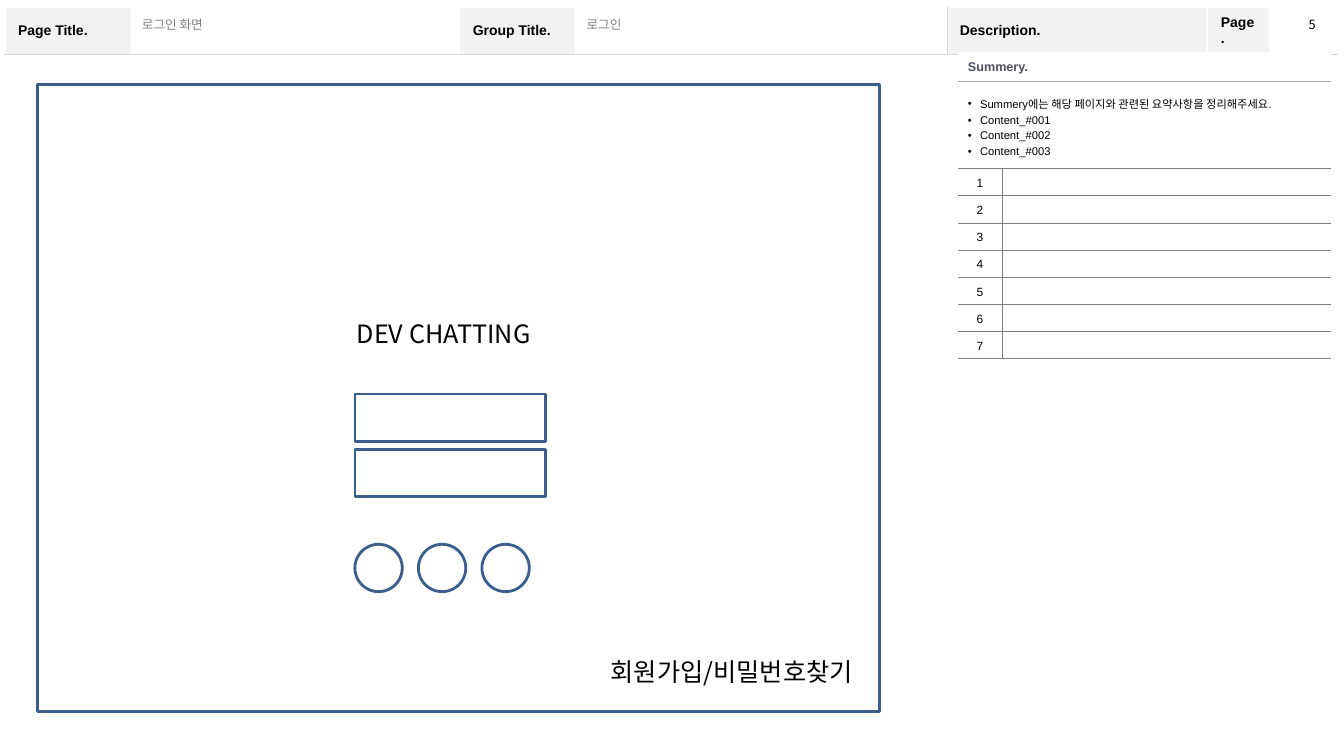
from lxml import etree
from pptx import Presentation
from pptx.dml.color import RGBColor
from pptx.enum.shapes import MSO_SHAPE
from pptx.enum.text import MSO_ANCHOR, MSO_AUTO_SIZE, PP_ALIGN
from pptx.oxml.ns import qn
from pptx.util import Inches, Pt

RECT, OVAL = MSO_SHAPE.RECTANGLE, MSO_SHAPE.OVAL
MIDDLE, TOP = MSO_ANCHOR.MIDDLE, MSO_ANCHOR.TOP
FIT, NO_FIT = MSO_AUTO_SIZE.SHAPE_TO_FIT_TEXT, MSO_AUTO_SIZE.NONE
LEFT, CENTER, JUSTIFY = PP_ALIGN.LEFT, PP_ALIGN.CENTER, PP_ALIGN.JUSTIFY

BLACK = RGBColor(0x00, 0x00, 0x00)
WHITE = RGBColor(0xFF, 0xFF, 0xFF)
LABEL_FILL = RGBColor(0xF2, 0xF2, 0xF2)
PALE = RGBColor(0xD9, 0xD9, 0xD9)
SILVER = RGBColor(0xA6, 0xA6, 0xA6)
GRAY = RGBColor(0x80, 0x80, 0x80)
SLATE = RGBColor(0x4E, 0x52, 0x63)
BLUE = RGBColor(0x3A, 0x5F, 0x8C)

ARIAL, NOTO = "Arial", "Noto Sans CJK KR"
NO_STYLE = "{2D5ABB26-0587-4C30-8999-92F81FD0307C}"
WHITE_EDGE, PALE_EDGE = (WHITE, 1), (PALE, 0.25)
SILVER_EDGE, GRAY_EDGE = (SILVER, 0.25), (GRAY, 0.25)


class Wireframe:
    def __init__(self, slide):
        self.shapes = slide.shapes

    def fill_text(self, tf, lines, size, color=BLACK, font=ARIAL, bold=False,
                  align=LEFT, spacing=None, bullet=False):
        tf.text = "\n".join(lines)
        for p in tf.paragraphs:
            p.alignment = align
            if spacing:
                p.line_spacing = spacing
            if bullet:
                pPr = p._p.get_or_add_pPr()
                pPr.set("marL", str(Inches(0.12)))
                pPr.set("indent", str(-Inches(0.12)))
                etree.SubElement(pPr, qn("a:buFont"), typeface=ARIAL)
                etree.SubElement(pPr, qn("a:buChar"), char="•")
            for r in p.runs:
                r.font.size = Pt(size)
                r.font.name = font
                r.font.bold = bold
                r.font.color.rgb = color
                etree.SubElement(r._r.get_or_add_rPr(), qn("a:ea"), typeface=NOTO)

    def text(self, x, y, w, h, line, size, color=BLACK, font=NOTO,
             wrap=False, anchor=TOP):
        tf = self.shapes.add_textbox(
            Inches(x), Inches(y), Inches(w), Inches(h)).text_frame
        tf.word_wrap = wrap
        tf.auto_size = NO_FIT if wrap else FIT
        tf.vertical_anchor = anchor
        self.fill_text(tf, [line], size, color, font)

    def outline(self, kind, x, y, w, h):
        sp = self.shapes.add_shape(kind, Inches(x), Inches(y), Inches(w), Inches(h))
        sp.shadow.inherit = False
        sp.fill.background()
        sp.line.color.rgb = BLUE
        sp.line.width = Pt(2)

    def table(self, x, y, widths, heights):
        frame = self.shapes.add_table(
            len(heights), len(widths), Inches(x), Inches(y),
            Inches(sum(widths)), Inches(sum(heights)))
        table = frame.table
        table.first_row = table.horz_banding = False
        table._tbl.tblPr.find(qn("a:tableStyleId")).text = NO_STYLE
        for column, width in zip(table.columns, widths):
            column.width = Inches(width)
        for row, height in zip(table.rows, heights):
            row.height = Inches(height)
        return table

    def cell(self, cell, left=None, right=None, top=None, bottom=None, fill=None):
        tcPr = cell._tc.get_or_add_tcPr()
        edges = {"a:lnL": left, "a:lnR": right, "a:lnT": top, "a:lnB": bottom}
        for tag, edge in edges.items():
            ln = etree.SubElement(tcPr, qn(tag))
            if edge:
                color, width = edge
                ln.set("w", str(Pt(width)))
                solid = etree.SubElement(ln, qn("a:solidFill"))
                etree.SubElement(solid, qn("a:srgbClr"), val=str(color))
            else:
                etree.SubElement(ln, qn("a:noFill"))
        if fill is None:
            cell.fill.background()
        else:
            cell.fill.solid()
            cell.fill.fore_color.rgb = fill
        cell.vertical_anchor = MIDDLE
        end = etree.SubElement(cell.text_frame.paragraphs[0]._p, qn("a:endParaRPr"))
        end.set("sz", "800")

    def header(self):
        labels = ["Page Title.", "", "Group Title.", "", "Description.", "Page.", ""]
        table = self.table(0.05, 0.07, [1.26, 3.25, 1.15, 3.68, 2.59, 0.61, 0.68],
                           [0.47, 6.65])
        for i, label in enumerate(labels):
            left = PALE_EDGE if i == 4 else WHITE_EDGE
            right = PALE_EDGE if i == 3 else WHITE_EDGE
            head, body = table.cell(0, i), table.cell(1, i)
            self.cell(head, left, right, WHITE_EDGE, PALE_EDGE,
                      LABEL_FILL if label else None)
            self.cell(body, left, right, PALE_EDGE, WHITE_EDGE)
            if label:
                head.margin_left = head.margin_right = Inches(0.13)
                head.margin_top = head.margin_bottom = Inches(0.07)
                self.fill_text(head.text_frame, [label], 10, bold=True)
        table.cell(1, 0).merge(table.cell(1, 3))
        table.cell(1, 4).merge(table.cell(1, 6))

    def description(self, title, notes, count):
        table = self.table(9.5, 0.52, [0.44, 3.26], [0.29, 0.86] + [0.27] * count)
        for i in range(2):
            self.cell(table.cell(0, i), bottom=SILVER_EDGE, fill=WHITE)
            self.cell(table.cell(1, i), top=SILVER_EDGE, bottom=GRAY_EDGE)
        for row in range(2):
            table.cell(row, 0).merge(table.cell(row, 1))
        self.fill_text(table.cell(0, 0).text_frame, [title], 9, SLATE, bold=True)
        self.fill_text(table.cell(1, 0).text_frame, notes, 8, align=JUSTIFY,
                       spacing=1.2, bullet=True)
        for n in range(1, count + 1):
            number, detail = table.cell(n + 1, 0), table.cell(n + 1, 1)
            self.cell(number, right=GRAY_EDGE, top=GRAY_EDGE, bottom=GRAY_EDGE)
            self.cell(detail, left=GRAY_EDGE, top=GRAY_EDGE, bottom=GRAY_EDGE)
            self.fill_text(number.text_frame, [str(n)], 8.5, align=CENTER, spacing=1.2)


def main():
    prs = Presentation()
    prs.slide_width, prs.slide_height = Inches(13.33), Inches(7.5)
    s = Wireframe(prs.slides.add_slide(prs.slide_layouts[6]))

    s.header()
    s.text(1.31, 0.12, 3.24, 0.24, "로그인 화면", 9, GRAY, ARIAL, True, MIDDLE)
    s.text(5.72, 0.12, 3.64, 0.24, "로그인", 9, GRAY, ARIAL, True, MIDDLE)
    notes = ["Summery에는 해당 페이지와 관련된 요약사항을 정리해주세요."]
    notes += [f"Content_#{n:03}" for n in range(1, 4)]
    s.description("Summery.", notes, 7)
    s.text(12.88, 0.12, 0.27, 0.25, "5", 9)

    s.outline(RECT, 0.37, 0.84, 8.35, 6.22)
    for i in range(2):
        s.outline(RECT, 3.52, 3.91 + 0.55 * i, 1.89, 0.47)
    s.text(3.44, 3.11, 1.96, 0.4, "DEV CHATTING", 18)
    for i in range(3):
        s.outline(OVAL, 3.52 + 0.63 * i, 5.4, 0.47, 0.47)
    s.text(5.96, 6.46, 2.83, 0.4, "회원가입/비밀번호찾기", 18)

    prs.save("out.pptx")


if __name__ == "__main__":
    main()
